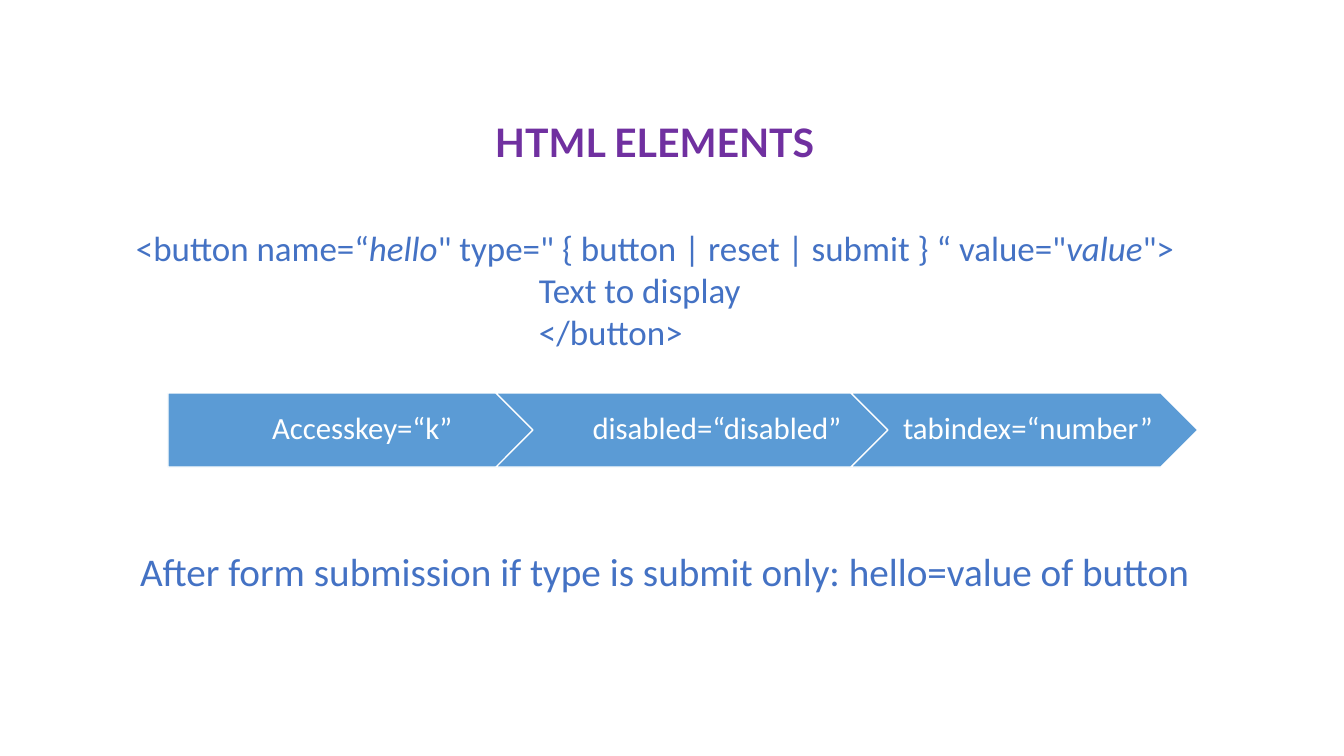
from dataclasses import dataclass
from pptx import Presentation
from pptx.dml.color import RGBColor as RGB
from pptx.enum.shapes import MSO_SHAPE as SHAPE
from pptx.enum.text import MSO_ANCHOR as ANCHOR, PP_ALIGN as ALIGN
from pptx.util import Pt


@dataclass(frozen=True)
class Theme:
    purple: RGB = RGB(0x70, 0x30, 0xA0)
    blue: RGB = RGB(0x44, 0x72, 0xC4)
    step: RGB = RGB(0x5B, 0x9B, 0xD5)
    white: RGB = RGB(0xFF, 0xFF, 0xFF)
    title_font: str = "Lato"
    body_font: str = "Calibri"
    large: int = 28
    code: int = 25
    label: int = 22


theme = Theme()
SLIDE_W, SLIDE_H = 1344, 756
SCALE = 12192000 / SLIDE_W


def px(n):
    return round(n * SCALE)


def style(p, font, size, color, bold=False):
    for r in p.runs:
        r.font.name = font
        r.font.size = Pt(size)
        r.font.color.rgb = color
        r.font.bold = bold


prs = Presentation()
prs.slide_width, prs.slide_height = px(SLIDE_W), px(SLIDE_H)
s = prs.slides.add_slide(prs.slide_layouts[6])

captions = [
    ("HTML ELEMENTS", (202, 98, 905, 87), theme.title_font, theme.purple, True),
    ("After form submission if type is submit only: hello=value of button",
     (25, 519, 1279, 103), theme.body_font, theme.blue, False),
]
for text, box, font, color, bold in captions:
    tf = s.shapes.add_textbox(*map(px, box)).text_frame
    tf.word_wrap = True
    tf.vertical_anchor = ANCHOR.MIDDLE
    tf.text = text
    p = tf.paragraphs[0]
    p.alignment = ALIGN.CENTER
    style(p, font, theme.large, color, bold)

code_lines = [
    (101, [("<button name=“", False), ("hello", True),
           ("\" type=\" { button | reset | submit } “ value=\"", False),
           ("value", True), ("\">", False)]),
    (504, [("Text to display", False)]),
    (504, [("</button>", False)]),
]
tf = s.shapes.add_textbox(*map(px, (25, 204, 1279, 172))).text_frame
tf.word_wrap = True
tf.vertical_anchor = ANCHOR.MIDDLE
for i, (indent, parts) in enumerate(code_lines):
    p = tf.paragraphs[0] if i == 0 else tf.add_paragraph()
    pPr = p._p.get_or_add_pPr()
    pPr.set("marL", str(px(indent)))
    pPr.set("indent", "0")
    for text, italic in parts:
        r = p.add_run()
        r.text = text
        r.font.italic = italic
    style(p, theme.body_font, theme.code, theme.blue)

STEP_TOP, STEP_H = 393, 74
steps = [
    (SHAPE.PENTAGON, 168, 397, 13, "Accesskey=“k”"),
    (SHAPE.CHEVRON, 496, 435, 10, "disabled=“disabled”"),
    (SHAPE.CHEVRON, 851, 347, 10, "tabindex=“number”"),
]
for kind, left, width, inset, text in steps:
    sp = s.shapes.add_shape(kind, px(left), px(STEP_TOP), px(width), px(STEP_H))
    sp.shadow.inherit = False
    sp.fill.solid()
    sp.fill.fore_color.rgb = theme.step
    sp.line.color.rgb = theme.white
    sp.line.width = Pt(1)
    tf = sp.text_frame
    tf.word_wrap = True
    tf.vertical_anchor = ANCHOR.MIDDLE
    tf.margin_left, tf.margin_right = px(inset), px(3)
    tf.margin_top = tf.margin_bottom = px(6)
    tf.text = text
    p = tf.paragraphs[0]
    p.alignment = ALIGN.CENTER
    p.line_spacing = 0.9
    style(p, theme.body_font, theme.label, theme.white)

prs.save("out.pptx")
